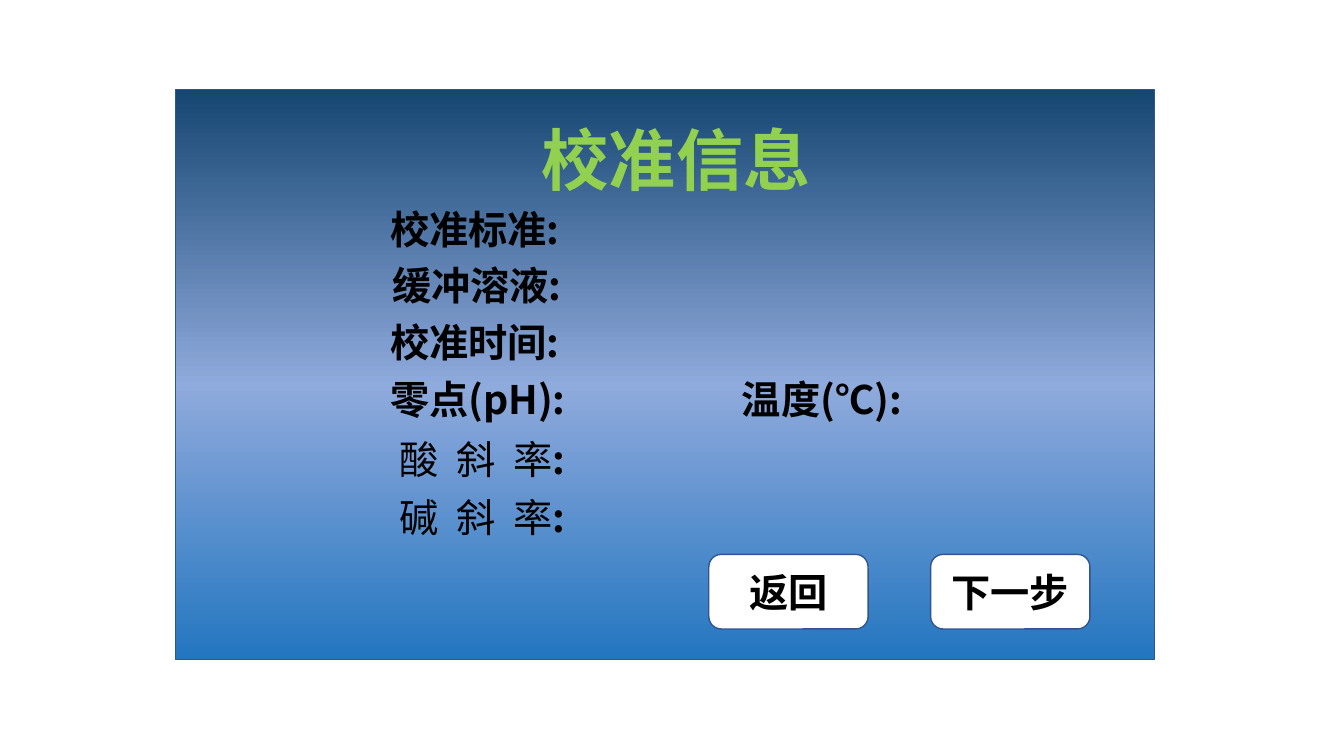
from copy import deepcopy

from lxml.etree import SubElement
from pptx import Presentation
from pptx.dml.color import RGBColor
from pptx.enum.shapes import MSO_SHAPE as Shape
from pptx.enum.text import MSO_ANCHOR as Anchor, MSO_AUTO_SIZE as AutoSize, PP_ALIGN as Align
from pptx.oxml import parse_xml
from pptx.oxml.ns import qn
from pptx.util import Inches, Pt

BLACK = RGBColor(0x00, 0x00, 0x00)
WHITE = RGBColor(0xFF, 0xFF, 0xFF)
GREEN = RGBColor(0x92, 0xD0, 0x50)
OUTLINE = RGBColor(0x32, 0x54, 0x91)
GRADIENT = [
    (0, RGBColor(0x16, 0x46, 0x72)),
    (0.52, RGBColor(0x8F, 0xAA, 0xDC)),
    (1, RGBColor(0x24, 0x76, 0xC0)),
]
CJK = "Noto Sans CJK SC"
LATIN = "Calibri"
TEXT_SHADOW = (
    '<a:effectLst xmlns:a="http://schemas.openxmlformats.org/drawingml/2006/main">'
    '<a:outerShdw blurRad="50800" dist="38100" dir="2700000" algn="tl">'
    '<a:srgbClr val="000000"><a:alpha val="40000"/></a:srgbClr>'
    '</a:outerShdw></a:effectLst>'
)


class Screen:
    strong = {"name": CJK, "size": Pt(28), "bold": True}
    plain = {"name": LATIN, "size": Pt(28), "bold": False}
    heading = {"name": LATIN, "size": Pt(48), "bold": True}

    def __init__(self, page):
        self.page = page

    def span(self, para, text, style, color=BLACK, spacing=None):
        span = para.add_run()
        span.text = text
        for name, value in style.items():
            setattr(span.font, name, value)
        span.font.color.rgb = color
        props = span.font._element
        if style["name"] == CJK:
            SubElement(props, qn("a:ea"), typeface=CJK)
        if spacing:
            props.set("spc", str(spacing))
        return span

    def block(self, kind, left, top, width, height):
        block = self.page.shapes.add_shape(
            kind, Inches(left), Inches(top), Inches(width), Inches(height))
        block.shadow.inherit = False
        block.line.color.rgb = OUTLINE
        block.line.width = Pt(1)
        return block

    def panel(self, left, top, width, height):
        fill = self.block(Shape.RECTANGLE, left, top, width, height).fill
        fill.gradient()
        fill.gradient_angle = 270
        first = fill.gradient_stops[0]._gs
        first.addnext(deepcopy(first))
        for stop, (position, color) in zip(fill.gradient_stops, GRADIENT):
            stop.position = position
            stop.color.rgb = color

    def title(self, text, left, top, width, height):
        box = self.page.shapes.title
        place = {"left": left, "top": top, "width": width, "height": height}
        for name, value in place.items():
            setattr(box, name, Inches(value))
        frame = box.text_frame
        frame.word_wrap = False
        frame.auto_size = AutoSize.NONE
        frame.vertical_anchor = Anchor.TOP
        para = frame.paragraphs[0]
        para.alignment = Align.CENTER
        para.line_spacing = 1.0
        span = self.span(para, text, self.heading, GREEN)
        span.font._element.find(qn("a:solidFill")).addnext(parse_xml(TEXT_SHADOW))
        # Bring the title in front of the panel
        box._element.getparent().append(box._element)

    def label(self, left, top, width, inset=0.1):
        box = self.page.shapes.add_textbox(
            Inches(left), Inches(top), Inches(width), Inches(0.57))
        frame = box.text_frame
        frame.word_wrap = True
        frame.auto_size = AutoSize.SHAPE_TO_FIT_TEXT
        frame.margin_left = Inches(inset)
        return frame.paragraphs[0]

    def field(self, text, left, top, width=2.08):
        self.span(self.label(left, top, width), text, self.strong)

    def slope(self, kind, top):
        para = self.label(3.77, top, 2.9, inset=0.19)
        self.span(para, f"{kind} 斜 ", self.plain, spacing=320)
        self.span(para, "率", self.plain)
        self.span(para, ":", self.strong)

    def button(self, text, left):
        block = self.block(Shape.ROUNDED_RECTANGLE, left, 5.5, 1.58, 0.74)
        block.fill.solid()
        block.fill.fore_color.rgb = WHITE
        block.text_frame.vertical_anchor = Anchor.MIDDLE
        para = block.text_frame.paragraphs[0]
        para.alignment = Align.CENTER
        self.span(para, text, self.strong)


def main():
    deck = Presentation()
    deck.slide_width, deck.slide_height = Inches(13.33), Inches(7.5)
    screen = Screen(deck.slides.add_slide(deck.slide_layouts[5]))

    # Background panel and heading
    screen.panel(1.74, 0.89, 9.71, 5.65)
    screen.title("校准信息", 5.26, 1.12, 2.89, 0.91)

    # Calibration fields
    screen.field("校准标准:", 3.77, 1.99)
    screen.field("缓冲溶液:", 3.79, 2.54)
    screen.field("校准时间:", 3.77, 3.11)
    screen.field("零点(pH):", 3.77, 3.67)
    screen.field("温度(℃):", 7.26, 3.67, 1.98)
    screen.slope("酸", 4.27)
    screen.slope("碱", 4.84)

    # Navigation buttons
    screen.button("返回", 7.03)
    screen.button("下一步", 9.23)

    deck.save("out.pptx")


if __name__ == "__main__":
    main()
